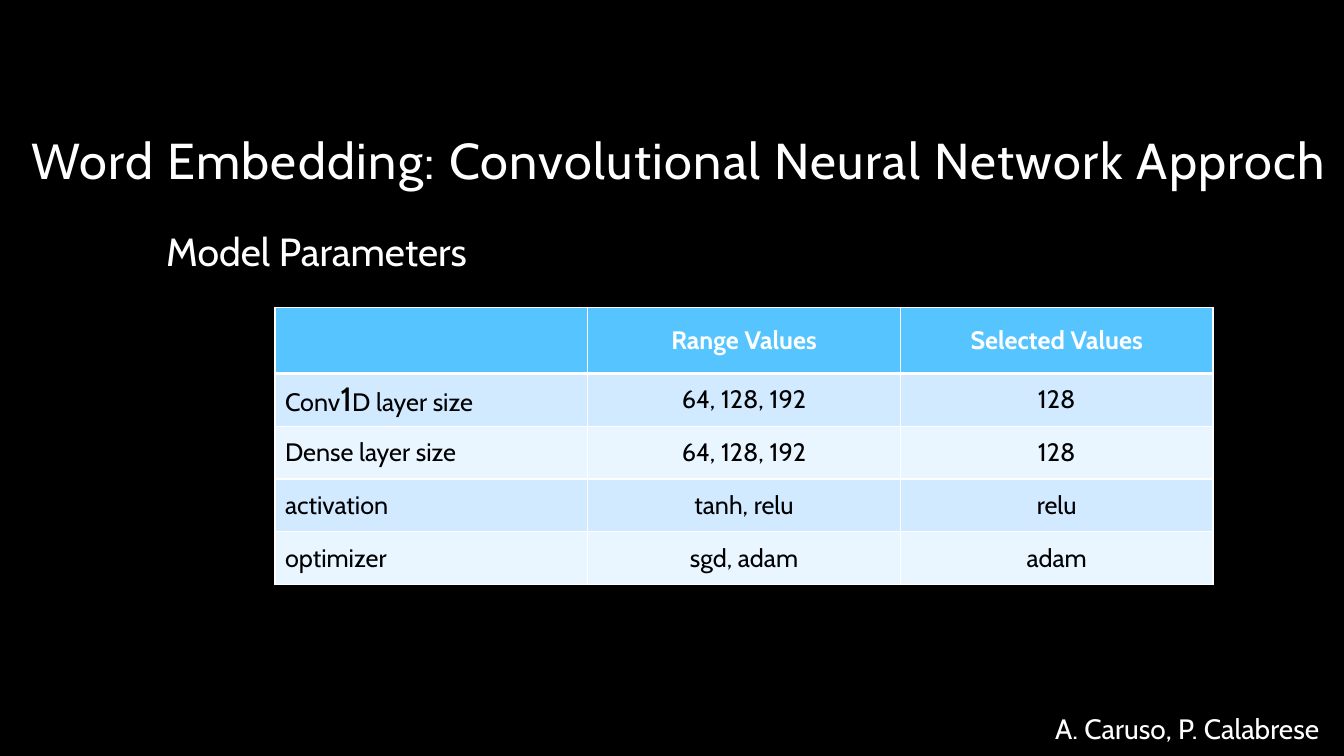
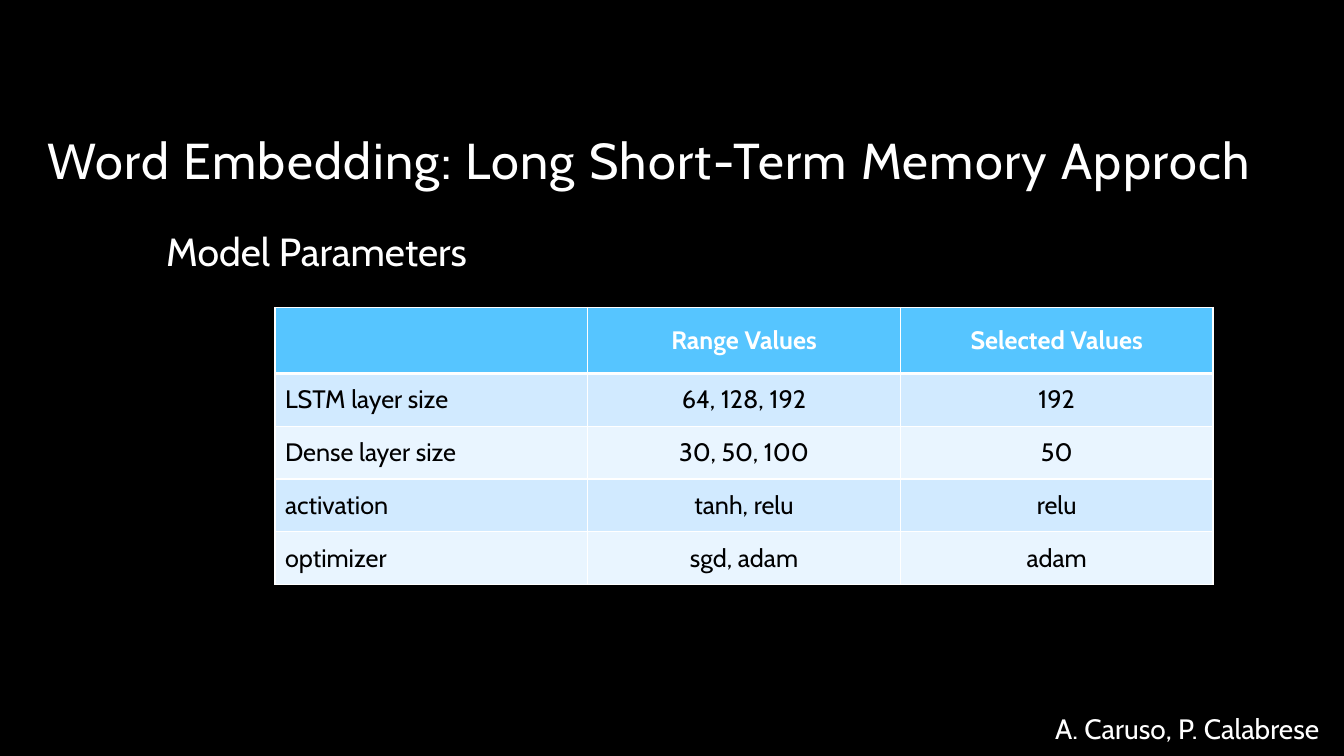
from lxml import etree
from pptx import Presentation
from pptx.dml.color import RGBColor
from pptx.enum.text import MSO_ANCHOR, MSO_AUTO_SIZE, PP_ALIGN
from pptx.oxml.ns import qn
from pptx.util import Cm, Pt

LEFT, CENTER = PP_ALIGN.LEFT, PP_ALIGN.CENTER
MIDDLE, BOTTOM = MSO_ANCHOR.MIDDLE, MSO_ANCHOR.BOTTOM
NO_FIT = MSO_AUTO_SIZE.NONE

FONT = "Cabin"
BLACK, WHITE = "000000", "FFFFFF"
HEADER_FILL = "56C5FF"
BANDS = ("D1EAFF", "E9F5FF")

SUBTITLE = "Model Parameters"
AUTHORS = "A. Caruso, P. Calabrese"
HEADER = ("", "Range Values", "Selected Values")
COMMON_ROWS = [
    ("activation", "tanh, relu", "relu"),
    ("optimizer", "sgd, adam", "adam"),
]
SLIDES = [
    {
        "title": "Word Embedding: Convolutional Neural Network Approch",
        "title_left": 0.53,
        "rows": [
            ([("Conv", 18), ("1", 24), ("D layer size", 18)], "64, 128, 192", "128"),
            ("Dense layer size", "64, 128, 192", "128"),
        ],
    },
    {
        "title": "Word Embedding: Long Short-Term Memory Approch",
        "title_left": 0.94,
        "rows": [
            ("LSTM layer size", "64, 128, 192", "192"),
            ("Dense layer size", "30, 50, 100", "50"),
        ],
    },
]

COLUMN_WIDTH = 7.88
HEADER_HEIGHT, ROW_HEIGHT = 1.66, 1.33
CELL_SIZE = 18
THIN, THICK = 1, 3


def rgb(color):
    return RGBColor.from_string(color)


def write(tf, content, size, color, bold=False, align=LEFT):
    parts = [(content, size)] if isinstance(content, str) else content
    p = tf.paragraphs[0]
    p.alignment = align
    for text, part_size in parts:
        r = p.add_run()
        r.text = text
        r.font.name = FONT
        r.font.size = Pt(part_size)
        r.font.bold = bold
        r.font.color.rgb = rgb(color)
    return p


def add_title(s, text, left):
    title = s.shapes.title
    title.left, title.top = Cm(left), Cm(1.12)
    title.width, title.height = Cm(33.6), Cm(3.81)
    tf = title.text_frame
    tf.auto_size = NO_FIT
    tf.vertical_anchor = BOTTOM
    p = write(tf, text, 36, WHITE)
    p.line_spacing = 0.9
    p.runs[0].font._element.set("spc", "100")


def add_label(s, text, left, top, width, height, size):
    box = s.shapes.add_textbox(Cm(left), Cm(top), Cm(width), Cm(height))
    tf = box.text_frame
    tf.word_wrap = True
    return write(tf, text, size, WHITE)


def set_borders(cell, top, bottom):
    tc_pr = cell._tc.get_or_add_tcPr()
    sides = (("a:lnL", THIN), ("a:lnR", THIN), ("a:lnT", top), ("a:lnB", bottom))
    for i, (tag, width) in enumerate(sides):
        line = etree.Element(qn(tag), w=str(Pt(width)))
        fill = etree.SubElement(line, qn("a:solidFill"))
        etree.SubElement(fill, qn("a:srgbClr"), val=WHITE)
        tc_pr.insert(i, line)


def add_parameters(s, rows):
    rows = [HEADER, *rows]
    heights = [HEADER_HEIGHT] + [ROW_HEIGHT] * (len(rows) - 1)
    table = s.shapes.add_table(
        len(rows), len(HEADER), Cm(6.93), Cm(7.75),
        Cm(COLUMN_WIDTH * len(HEADER)), Cm(sum(heights)),
    ).table
    table.horz_banding = False
    for column in table.columns:
        column.width = Cm(COLUMN_WIDTH)
    for i, (row, height) in enumerate(zip(rows, heights)):
        table.rows[i].height = Cm(height)
        is_header = i == 0
        for j, content in enumerate(row):
            cell = table.cell(i, j)
            cell.vertical_anchor = MIDDLE
            cell.fill.solid()
            cell.fill.fore_color.rgb = rgb(HEADER_FILL if is_header else BANDS[(i - 1) % 2])
            set_borders(cell, THICK if i == 1 else THIN, THICK if is_header else THIN)
            if content:
                write(cell.text_frame, content, CELL_SIZE, WHITE if is_header else BLACK,
                      is_header, CENTER if j else LEFT)


def build_slide(prs, data):
    s = prs.slides.add_slide(prs.slide_layouts[5])
    add_title(s, data["title"], data["title_left"])
    p = add_label(s, SUBTITLE, 3.94, 5.74, 10, 1.6, 28)
    p.line_spacing = 0.9
    add_parameters(s, data["rows"] + COMMON_ROWS)
    add_label(s, AUTHORS, 26.34, 17.81, 7.5, 1.12, 20)


def main():
    prs = Presentation()
    prs.slide_width, prs.slide_height = Cm(33.87), Cm(19.05)
    background = prs.slide_master.background.fill
    background.solid()
    background.fore_color.rgb = rgb(BLACK)
    for data in SLIDES:
        build_slide(prs, data)
    prs.save("out.pptx")


if __name__ == "__main__":
    main()
